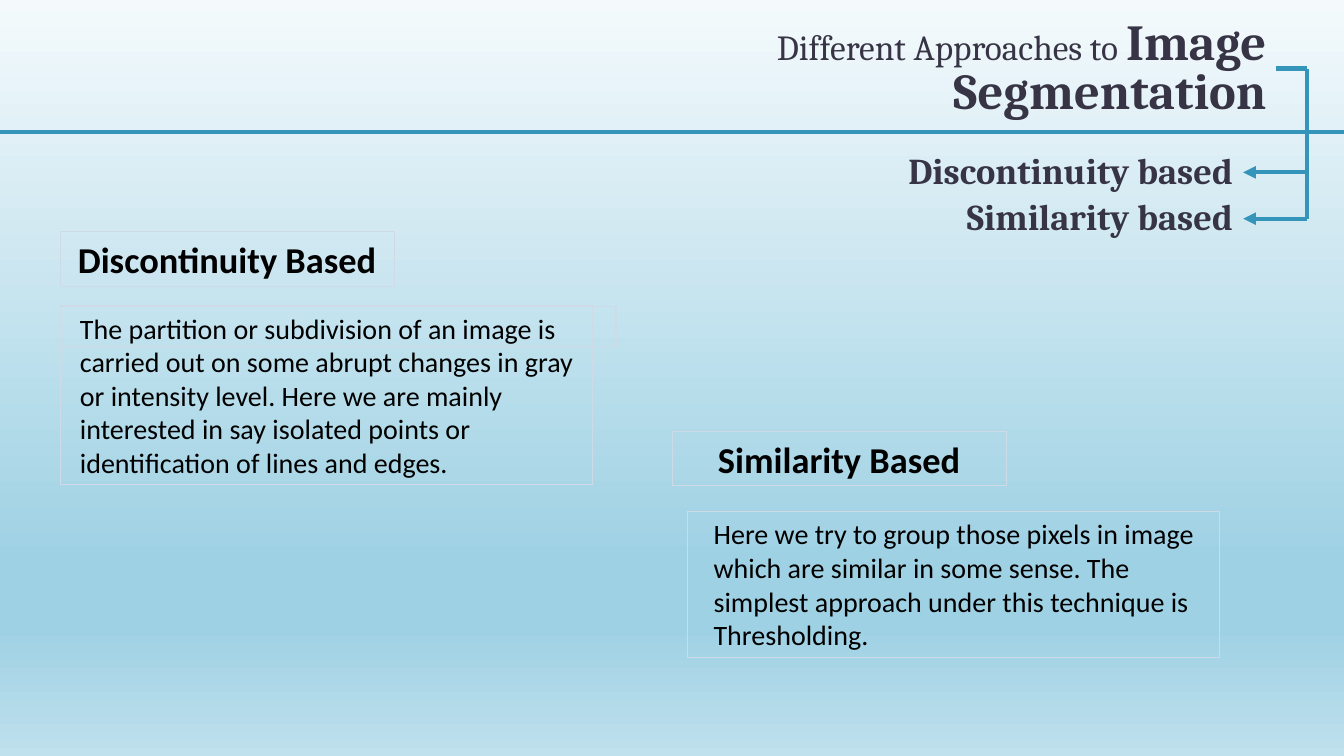
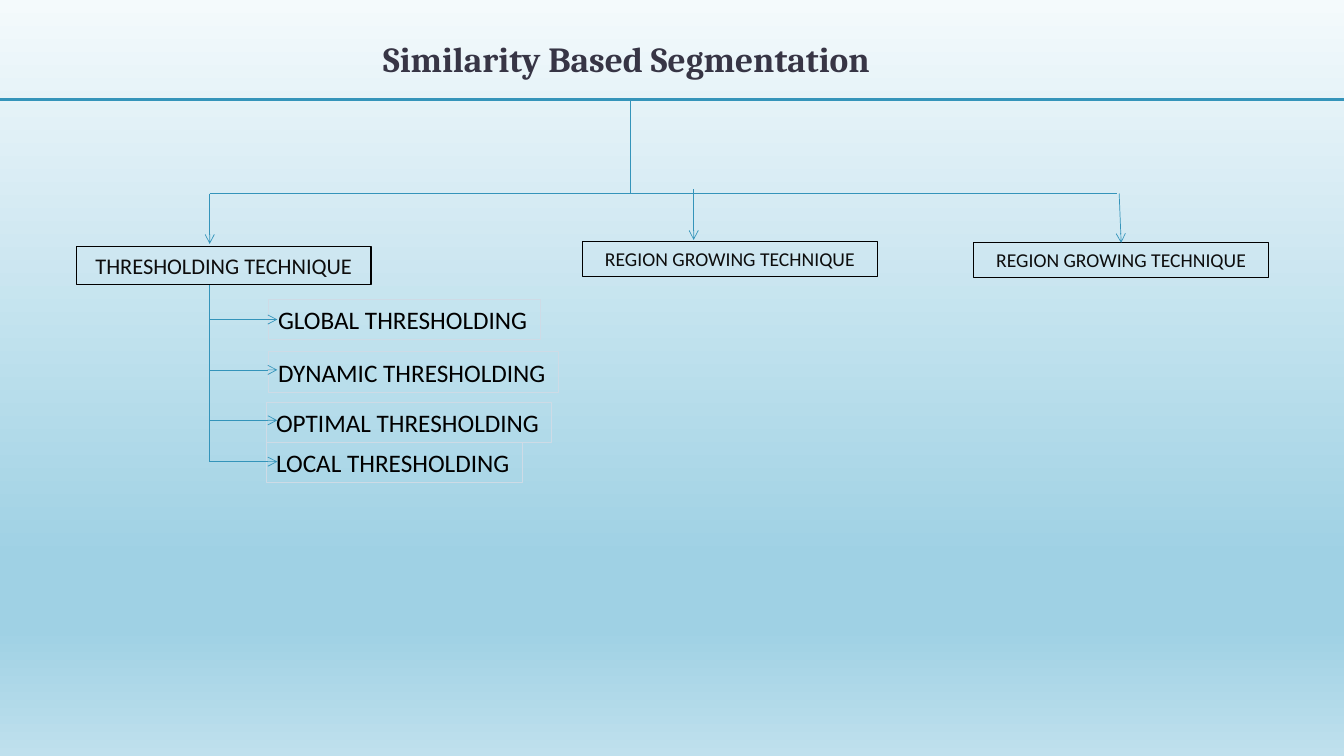
from copy import deepcopy
from dataclasses import dataclass

from lxml.etree import SubElement
from pptx import Presentation
from pptx.dml.color import RGBColor as Rgb
from pptx.enum.shapes import MSO_CONNECTOR as Connector, MSO_SHAPE as Preset
from pptx.enum.text import MSO_ANCHOR as Anchor, MSO_AUTO_SIZE as AutoSize, PP_ALIGN as Align
from pptx.oxml.ns import qn
from pptx.util import Inches, Pt


@dataclass(frozen=True)
class Theme:
    """Colours, fonts and type sizes shared by the deck."""
    ink: str = "373545"
    accent: str = "3494BA"
    black: str = "000000"
    soft_black: str = "0D0D0D"
    pale: str = "CEDBE6"
    backdrop: tuple = ((0, "F4FAFC"), (0.74, "9FD1E4"), (0.83, "9FD1E4"), (1, "BFE0ED"))
    title_font: str = "Cambria"
    body_font: str = "Calibri"
    title: float = 25.2
    title_big: float = 36
    heading: float = 26
    body: float = 20
    item: float = 18
    branch: float = 16
    branch_small: float = 14
    rule: float = 3
    rule_thin: float = 2.25
    hairline: float = 0.5
    border: float = 0.75


@dataclass(frozen=True)
class Box:
    """A rectangle on the slide, in inches."""
    left: float
    top: float
    width: float
    height: float

    def inner(self, dx, dy, width, height):
        """Return a box offset from this one's corner."""
        return Box(self.left + dx, self.top + dy, width, height)

    def point(self, dx, dy):
        """Return a point offset from this box's corner."""
        return self.left + dx, self.top + dy

    def emu(self):
        """Return left, top, width and height as lengths."""
        return [Inches(v) for v in (self.left, self.top, self.width, self.height)]


THEME = Theme()
PAGE = Box(0, 0, 13.33, 7.5)


def add_span(para, text, size, color, font, bold=False):
    """Add one formatted run to a paragraph."""
    span = para.add_run()
    span.text = text
    span.font.size = Pt(size)
    span.font.name = font
    span.font.bold = bold
    span.font.color.rgb = Rgb.from_string(color)


def add_line(page, start, end, width, arrow=None, target=None, site=0):
    """Draw a line, with an optional arrowhead and a shape to join at its end."""
    line = page.shapes.add_connector(Connector.STRAIGHT, *(Inches(v) for v in (*start, *end)))
    if target is not None:
        line.end_connect(target, site)
    line.line.color.rgb = Rgb.from_string(THEME.accent)
    line.line.width = Pt(width)
    properties = line.element.spPr
    if arrow:
        SubElement(properties.find(qn("a:ln")), qn("a:tailEnd"), type=arrow)
    SubElement(properties, qn("a:effectLst"))


def add_chain(page, points, width):
    """Draw straight lines through successive points."""
    for start, end in zip(points, points[1:]):
        add_line(page, start, end, width)


def add_panel(page, box, text="", size=THEME.body, bold=False, color=THEME.black,
              border=THEME.pale, wrap=True):
    """Draw an outlined rectangle whose text block sits in its centre."""
    panel = page.shapes.add_shape(Preset.RECTANGLE, *box.emu())
    panel.shadow.inherit = False
    panel.fill.background()
    panel.line.color.rgb = Rgb.from_string(border)
    panel.line.width = Pt(THEME.border)
    if text:
        frame = panel.text_frame
        frame.word_wrap = wrap
        frame.auto_size = AutoSize.SHAPE_TO_FIT_TEXT
        frame.vertical_anchor = Anchor.MIDDLE
        panel.element.txBody.bodyPr.set("anchorCtr", "1")
        para = frame.paragraphs[0]
        para.alignment = Align.LEFT
        add_span(para, text, size, color, THEME.body_font, bold)
    return panel


def write_headline(shape, spans, align):
    """Write (text, size, bold) spans into a shape in the title style."""
    frame = shape.text_frame
    frame.word_wrap = True
    frame.auto_size = AutoSize.NONE
    frame.vertical_anchor = Anchor.BOTTOM
    para = frame.paragraphs[0]
    para.alignment = align
    para.line_spacing = 0.8
    for text, size, bold in spans:
        add_span(para, text, size, THEME.ink, THEME.title_font, bold)


def add_page(deck, box, spans, align, rule_top, rule_width):
    """Add a slide with its title and the rule below it."""
    page = deck.slides.add_slide(deck.slide_layouts.get_by_name("Title Only"))
    title = page.shapes.title
    title.left, title.top, title.width, title.height = box.emu()
    write_headline(title, spans, align)
    add_line(page, PAGE.point(PAGE.width, rule_top), PAGE.point(0, rule_top), rule_width)
    return page


def paint_backdrop(deck):
    """Give the slide master its vertical gradient."""
    master = deck.slide_master
    fill = master.background.fill
    fill.gradient()
    fill.gradient_angle = 270
    stop_list = master.element.find(".//" + qn("a:gsLst"))
    for _ in range(len(THEME.backdrop) - len(stop_list)):
        stop_list.append(deepcopy(stop_list[-1]))
    for stop, (position, color) in zip(fill.gradient_stops, THEME.backdrop):
        stop.position = position
        stop.color.rgb = Rgb.from_string(color)


def add_approach_list(page, box, names):
    """List the approaches beside a bracket that runs down from the title."""
    label_width, label_height, pitch = 3.62, 0.48, 0.46
    first_top = 0.79
    middles = [first_top + label_height / 2 + pitch * i for i in range(len(names))]
    add_chain(page, [box.point(box.width - 0.3, 0), box.point(box.width, 0),
                     box.point(box.width, middles[-1])], THEME.rule)
    for name, middle in zip(names, middles):
        place = box.inner(0, middle - label_height / 2, label_width, label_height)
        label = page.shapes.add_textbox(*place.emu())
        write_headline(label, [(name, THEME.heading, True)], Align.RIGHT)
        add_line(page, box.point(box.width, middle), box.point(label_width, middle),
                 THEME.rule, "triangle", label, 3)


def add_definition(page, box, heading, text, indent, drop):
    """Place a heading panel with its explanation below it."""
    add_panel(page, box.inner(0, 0, 3.31, 0.54), heading, THEME.heading, True)
    add_panel(page, box.inner(indent, drop, box.width - indent, box.height - drop), text)


def add_branches(page, box, branches):
    """Draw the tree's trunk, its crossbar and the technique panels."""
    trunk, bar = 4.17, 0.92
    add_chain(page, [box.point(trunk, 0), box.point(trunk, bar)], THEME.hairline)
    add_chain(page, [box.point(0, bar), box.point(box.width, bar)], THEME.hairline)
    for text, size, place, start, end, joined in branches:
        panel = add_panel(page, box.inner(*place), text, size,
                          color=THEME.soft_black, border=THEME.black)
        add_line(page, box.point(*start), box.point(*end), THEME.hairline, "arrow",
                 panel if joined else None)


def add_threshold_list(page, box, items):
    """Draw a stem with one arrow for each kind of thresholding."""
    add_chain(page, [box.point(0, 0), box.point(0, box.height)], THEME.hairline)
    for text, arrow_drop, left, top, width in items:
        add_panel(page, box.inner(left, top, width, 0.4), text, THEME.item, wrap=False)
        add_line(page, box.point(0, arrow_drop), box.point(box.width, arrow_drop),
                 THEME.hairline, "arrow")


def build_approaches(deck):
    """Build the slide on the two approaches."""
    page = add_page(deck, PAGE.inner(7.53, 0.13, 5.13, 1.1),
                    [("Different Approaches to ", THEME.title, False),
                     ("Image Segmentation", THEME.title_big, True)],
                    Align.RIGHT, 1.31, THEME.rule)
    add_approach_list(page, PAGE.inner(8.71, 0.68, 4.25, 1.5),
                      ["Discontinuity based", "Similarity based"])
    add_panel(page, PAGE.inner(0.6, 3.04, 5.51, 0.4))
    add_definition(page, PAGE.inner(0.6, 2.3, 5.28, 2.51), "Discontinuity Based",
                   "The partition or subdivision of an image is carried out on some abrupt "
                   "changes in gray or intensity level. Here we are mainly interested in say "
                   "isolated points or identification of lines and edges.", 0, 0.73)
    add_definition(page, PAGE.inner(6.67, 4.28, 5.43, 2.24), "Similarity Based",
                   "Here we try to group those pixels in image which are similar in some "
                   "sense. The simplest approach under this technique is Thresholding.",
                   0.15, 0.79)


def build_similarity(deck):
    """Build the slide with the tree of similarity techniques."""
    page = add_page(deck, PAGE.inner(3.7, 0.38, 5.37, 0.46),
                    [("Similarity Based Segmentation", THEME.title, True)],
                    Align.LEFT, 0.99, THEME.rule_thin)
    add_branches(page, PAGE.inner(2.08, 1, 9, 1.82), [
        ("THRESHOLDING TECHNIQUE", THEME.branch, (-1.32, 1.45, 2.92, 0.37),
         (0, 0.92), (0, 1.42), False),
        ("REGION GROWING TECHNIQUE", THEME.branch_small, (3.7, 1.4, 2.92, 0.34),
         (4.8, 0.88), (4.8, 1.38), False),
        ("REGION GROWING TECHNIQUE", THEME.branch_small, (7.58, 1.41, 2.92, 0.34),
         (9.02, 0.92), (9.04, 1.41), True),
    ])
    add_threshold_list(page, PAGE.inner(2.08, 2.83, 0.67, 1.75), [
        ("GLOBAL THRESHOLDING", 0.34, 0.58, 0.14, 2.7),
        ("DYNAMIC THRESHOLDING", 0.84, 0.58, 0.66, 2.88),
        ("OPTIMAL THRESHOLDING", 1.34, 0.56, 1.16, 2.83),
        ("LOCAL THRESHOLDING", 1.75, 0.56, 1.56, 2.54),
    ])


def main():
    """Build and save the deck."""
    deck = Presentation()
    deck.slide_width, deck.slide_height = Inches(PAGE.width), Inches(PAGE.height)
    paint_backdrop(deck)
    build_approaches(deck)
    build_similarity(deck)
    deck.save("out.pptx")


if __name__ == "__main__":
    main()
